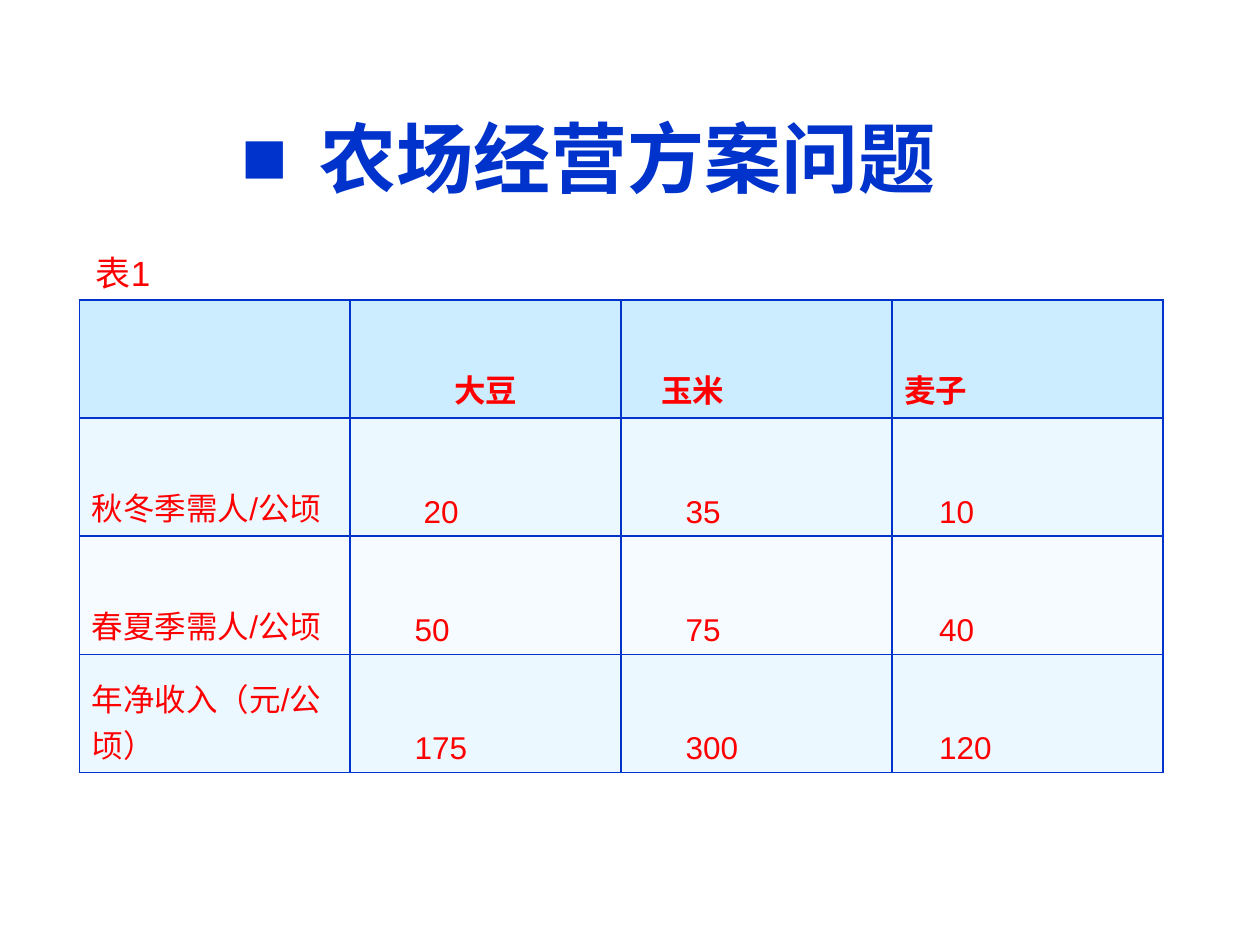
from dataclasses import dataclass

from lxml import etree
from pptx import Presentation
from pptx.dml.color import RGBColor
from pptx.enum.text import MSO_ANCHOR, PP_ALIGN
from pptx.oxml.ns import qn
from pptx.util import Cm, Pt

BLUE = RGBColor(0x00, 0x33, 0xCC)
RED = RGBColor(0xFF, 0x00, 0x00)
HEADER_FILL = RGBColor(0xCC, 0xEC, 0xFF)
ODD_FILL = RGBColor(0xEC, 0xF8, 0xFF)
EVEN_FILL = RGBColor(0xF6, 0xFB, 0xFF)

LEFT, CENTER = PP_ALIGN.LEFT, PP_ALIGN.CENTER
TOP, MIDDLE, BOTTOM = MSO_ANCHOR.TOP, MSO_ANCHOR.MIDDLE, MSO_ANCHOR.BOTTOM

TITLE_FONT = {"name": "Arial", "size": Pt(44), "bold": True}
CAPTION_FONT = {"name": "Arial", "size": Pt(20), "bold": False}
HEADER_FONT = {"name": "Arial", "size": Pt(18), "bold": True}
BODY_FONT = {"name": "Arial", "size": Pt(18), "bold": False}

COLUMN_WIDTH, ROW_HEIGHT = Cm(5.46), Cm(2.38)
MARGIN = 0.25


@dataclass
class Label:
    text: str
    box: tuple
    font: dict
    color: RGBColor
    align: PP_ALIGN = LEFT
    anchor: MSO_ANCHOR = TOP
    bullet: str = ""
    hanging: float = 0


@dataclass
class Entry:
    text: str
    inset: float = MARGIN
    align: PP_ALIGN = LEFT


@dataclass
class Row:
    entries: list
    fill: RGBColor
    font: dict


LABELS = [
    Label("农场经营方案问题", (0.23, 1.68, 23.29, 2.97), TITLE_FONT, BLUE,
          CENTER, MIDDLE, "■", 1.57),
    Label("表1", (1.68, 4.95, 7.06, 1.12), CAPTION_FONT, RED),
]

ROWS = [
    Row([Entry(""), Entry("大豆", align=CENTER), Entry("玉米", 0.81), Entry("麦子")],
        HEADER_FILL, HEADER_FONT),
    Row([Entry("秋冬季需人/公顷"), Entry("20", 1.48), Entry("35", 1.3), Entry("10", 0.95)],
        ODD_FILL, BODY_FONT),
    Row([Entry("春夏季需人/公顷"), Entry("50", 1.3), Entry("75", 1.3), Entry("40", 0.95)],
        EVEN_FILL, BODY_FONT),
    Row([Entry("年净收入（元/公顷）"), Entry("175", 1.3), Entry("300", 1.3), Entry("120", 0.95)],
        ODD_FILL, BODY_FONT),
]


def write_text(paragraph, text: str, font: dict, color: RGBColor, align) -> None:
    paragraph.text = text
    paragraph.alignment = align
    for name, value in font.items():
        setattr(paragraph.font, name, value)
        for run in paragraph.runs:
            setattr(run.font, name, value)
    for run in paragraph.runs:
        run.font.color.rgb = color


def add_bullet(paragraph, character: str, hanging: float) -> None:
    properties = paragraph._p.get_or_add_pPr()
    properties.set("marL", str(Cm(hanging)))
    properties.set("indent", str(-Cm(hanging)))
    etree.SubElement(properties, qn("a:buFont"), typeface="Arial")
    etree.SubElement(properties, qn("a:buChar"), char=character)


def draw_label(slide, label: Label) -> None:
    shape = slide.shapes.add_textbox(*(Cm(value) for value in label.box))
    frame = shape.text_frame
    frame.word_wrap = True
    frame.vertical_anchor = label.anchor
    paragraph = frame.paragraphs[0]
    if label.bullet:
        add_bullet(paragraph, label.bullet, label.hanging)
    write_text(paragraph, label.text, label.font, label.color, label.align)


def set_borders(cell, color: RGBColor) -> None:
    properties = cell._tc.get_or_add_tcPr()
    for position, side in enumerate(("lnL", "lnR", "lnT", "lnB")):
        line = etree.Element(qn(f"a:{side}"), w=str(Pt(1)))
        fill = etree.SubElement(line, qn("a:solidFill"))
        etree.SubElement(fill, qn("a:srgbClr"), val=str(color))
        properties.insert(position, line)


def draw_table(slide, rows: list[Row], left: Cm, top: Cm) -> None:
    column_count = len(rows[0].entries)
    table = slide.shapes.add_table(
        len(rows), column_count, left, top,
        COLUMN_WIDTH * column_count, ROW_HEIGHT * len(rows)).table
    for column in table.columns:
        column.width = COLUMN_WIDTH
    for row_index, row in enumerate(rows):
        table.rows[row_index].height = ROW_HEIGHT
        for column_index, entry in enumerate(row.entries):
            cell = table.cell(row_index, column_index)
            cell.fill.solid()
            cell.fill.fore_color.rgb = row.fill
            cell.vertical_anchor = BOTTOM
            cell.margin_left = Cm(entry.inset)
            cell.margin_right = Cm(MARGIN)
            write_text(cell.text_frame.paragraphs[0], entry.text,
                       row.font, RED, entry.align)
            set_borders(cell, BLUE)


def main() -> None:
    presentation = Presentation()
    presentation.slide_width, presentation.slide_height = Cm(25.4), Cm(19.05)
    slide = presentation.slides.add_slide(presentation.slide_layouts[6])

    # Title and table caption
    title, caption = LABELS
    draw_label(slide, title)

    # Labour and income per crop
    draw_table(slide, ROWS, Cm(1.6), Cm(6.05))
    draw_label(slide, caption)

    presentation.save("out.pptx")


if __name__ == "__main__":
    main()
